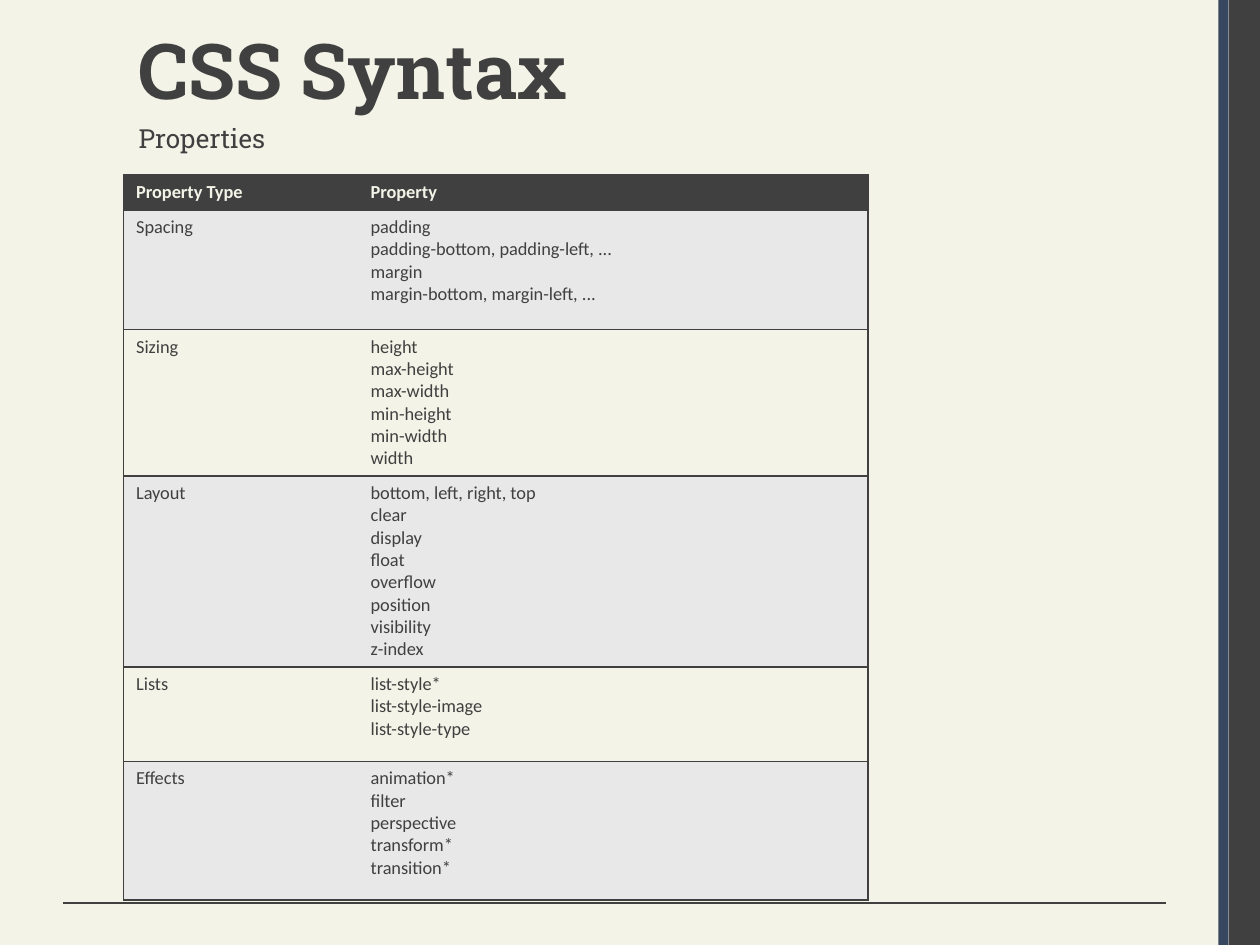
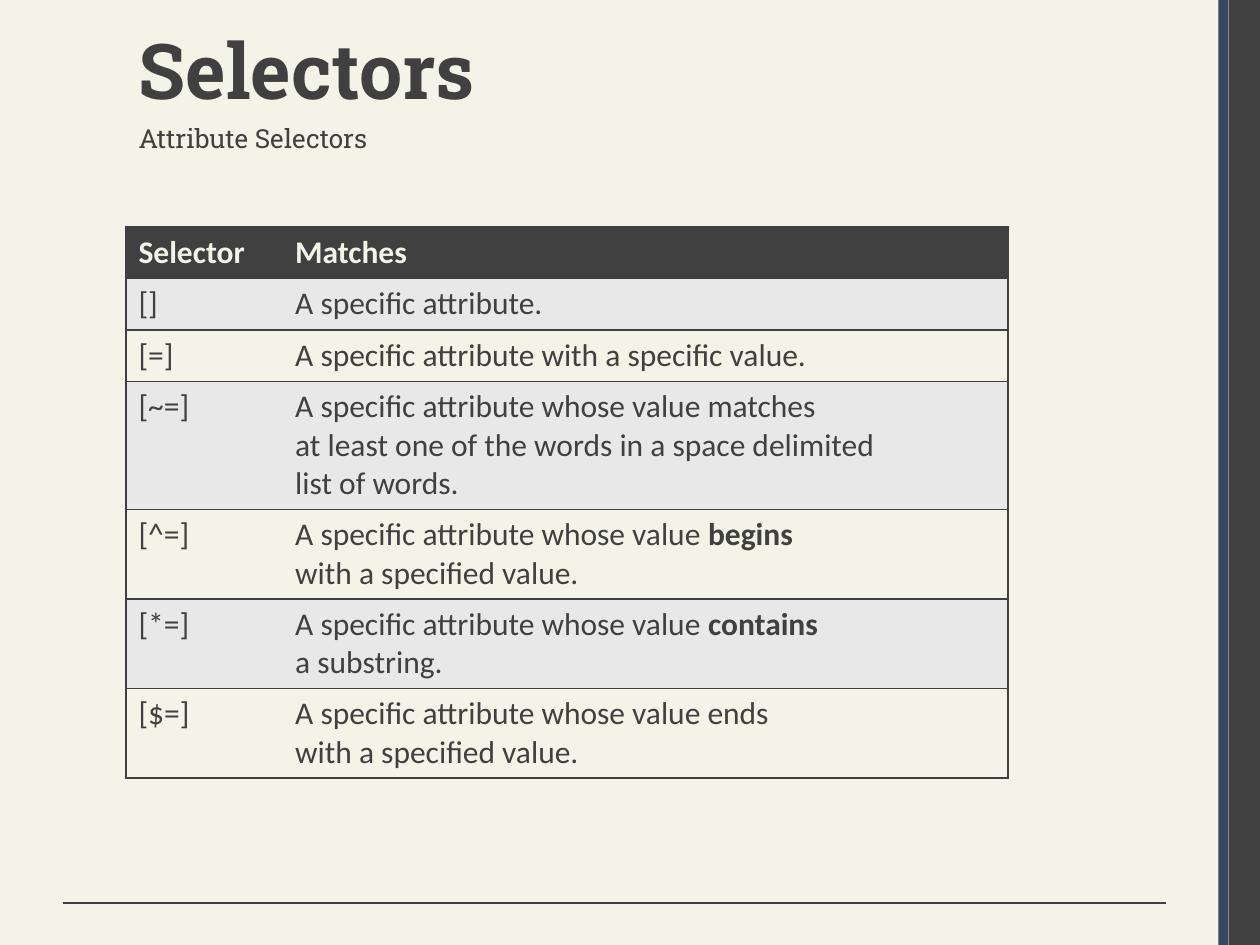
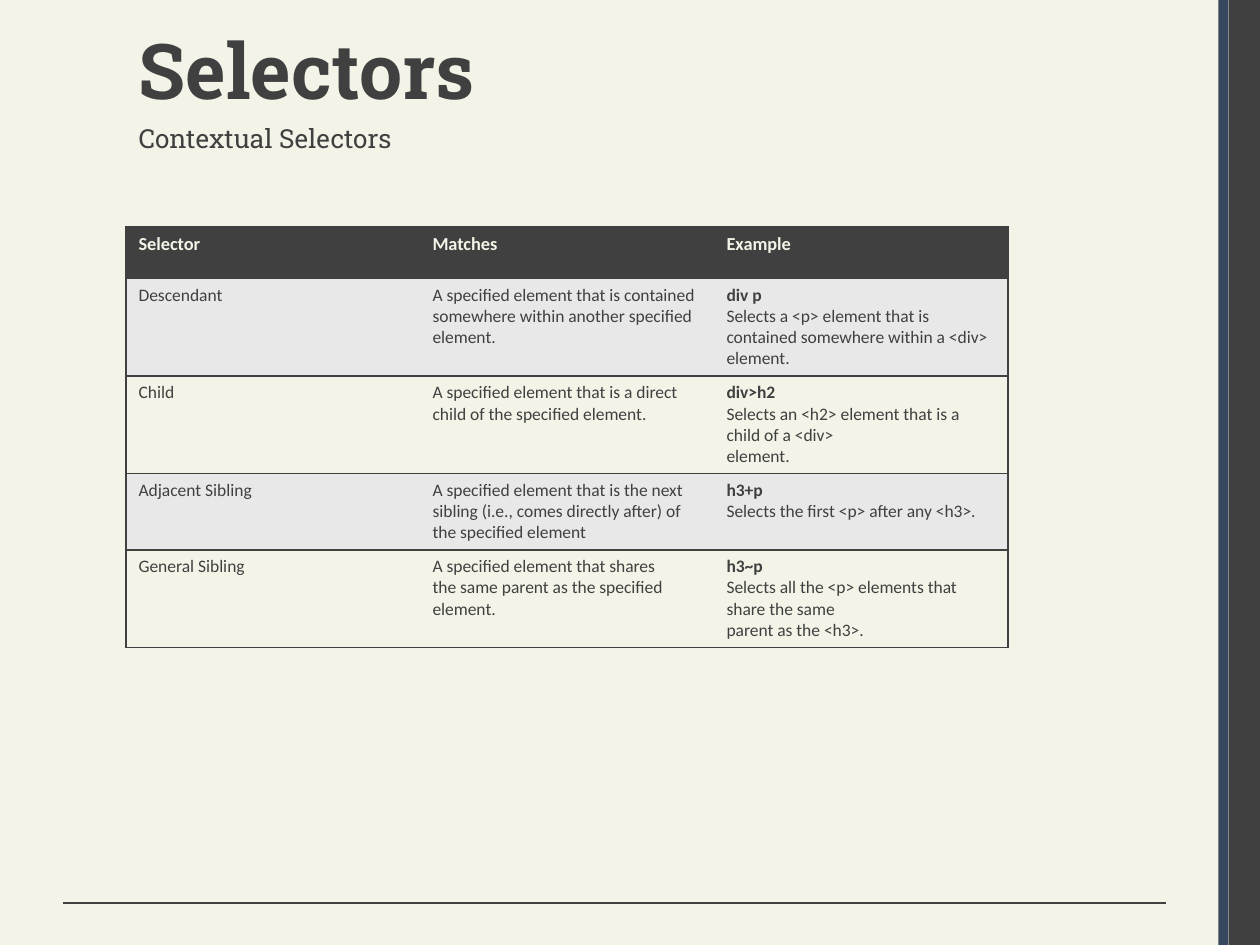
from dataclasses import dataclass

from lxml.etree import SubElement
from pptx import Presentation
from pptx.dml.color import RGBColor
from pptx.enum.shapes import MSO_CONNECTOR, MSO_SHAPE
from pptx.enum.text import MSO_ANCHOR, MSO_AUTO_SIZE, PP_ALIGN
from pptx.oxml.ns import qn
from pptx.util import Pt


@dataclass(frozen=True)
class Theme:
    paper: RGBColor = RGBColor(0xF3, 0xF3, 0xE7)
    ink: RGBColor = RGBColor(0x40, 0x40, 0x40)
    navy: RGBColor = RGBColor(0x37, 0x47, 0x5F)
    stripe: RGBColor = RGBColor(0xE8, 0xE8, 0xE8)
    heading_font: str = "Roboto Slab"
    table_font: str = "Calibri"
    title_size: float = 44
    subtitle_size: float = 15
    large_size: float = 18
    compact_size: float = 10.5
    small_size: float = 10
    rule_width: float = 0.75
    border_width: float = 1


THEME = Theme()
SLIDE_WIDTH, SLIDE_HEIGHT = 720, 540
SELECTOR_TABLE = {"left": 72, "top": 129.6}
SELECTOR_ROW = 29.5

PROPERTIES = [
    ("Property Type", "Property"),
    ("Spacing", "padding\npadding-bottom, padding-left, ...\n"
                "margin\nmargin-bottom, margin-left, ..."),
    ("Sizing", "height\nmax-height\nmax-width\nmin-height\nmin-width\nwidth"),
    ("Layout", "bottom, left, right, top\nclear\ndisplay\nfloat\n"
               "overflow\nposition\nvisibility\nz-index"),
    ("Lists", "list-style*\nlist-style-image\nlist-style-type"),
    ("Effects", "animation*\nfilter\nperspective\ntransform*\ntransition*"),
]

ATTRIBUTE_SELECTORS = [
    ("Selector", "Matches"),
    ("[]", "A specific attribute."),
    ("[=]", "A specific attribute with a specific value."),
    ("[~=]", "A specific attribute whose value matches\n"
             "at least one of the words in a space delimited\nlist of words."),
    ("[^=]", "A specific attribute whose value **begins**\nwith a specified value."),
    ("[*=]", "A specific attribute whose value **contains**\na substring."),
    ("[$=]", "A specific attribute whose value ends\nwith a specified value."),
]

CONTEXTUAL_SELECTORS = [
    ("Selector", "Matches", "Example"),
    ("Descendant",
     "A specified element that is contained somewhere within another specified element.",
     "**div p**\nSelects a <p> element that is contained somewhere within a <div> element."),
    ("Child",
     "A specified element that is a direct child of the specified element.",
     "**div>h2**\nSelects an <h2> element that is a child of a <div>\nelement."),
    ("Adjacent Sibling",
     "A specified element that is the next sibling (i.e., comes directly after) "
     "of the specified element",
     "**h3+p**\nSelects the first <p> after any <h3>."),
    ("General Sibling",
     "A specified element that shares\nthe same parent as the specified\nelement.",
     "**h3~p**\nSelects all the <p> elements that share the same\nparent as the <h3>."),
]


def apply_format(target, values):
    for attribute, value in values.items():
        setattr(target, attribute, value)


def format_font(font, color, **values):
    apply_format(font, values)
    font.color.rgb = color


def add_band(slide, left, width, color):
    band = slide.shapes.add_shape(
        MSO_SHAPE.RECTANGLE, Pt(left), Pt(0), Pt(width), Pt(SLIDE_HEIGHT))
    band.shadow.inherit = False
    band.fill.solid()
    band.fill.fore_color.rgb = color
    band.line.fill.background()
    return band


def add_footer_rule(slide):
    rule = slide.shapes.add_connector(
        MSO_CONNECTOR.STRAIGHT, Pt(666), Pt(516), Pt(36), Pt(516))
    rule.line.color.rgb = THEME.ink
    rule.line.width = Pt(THEME.rule_width)
    SubElement(rule.element.spPr, qn("a:effectLst"))
    return rule


def decorate_master(master, slide):
    master.background.fill.solid()
    master.background.fill.fore_color.rgb = THEME.paper
    decorations = [
        add_band(slide, 702, 18, THEME.ink),
        add_band(slide, 696.2, 5.7, THEME.navy),
        add_footer_rule(slide),
    ]
    for number, decoration in enumerate(decorations, start=101):
        decoration.element.xpath(".//p:cNvPr")[0].set("id", str(number))
        master.shapes.element.append(decoration.element)


def fill_heading(placeholder, text, bounds, size, bold):
    left, top, width, height = map(Pt, bounds)
    apply_format(placeholder, {"left": left, "top": top, "width": width, "height": height})
    frame = placeholder.text_frame
    frame.text = text
    apply_format(frame, {
        "auto_size": MSO_AUTO_SIZE.NONE, "vertical_anchor": MSO_ANCHOR.TOP, "word_wrap": True})
    paragraph = frame.paragraphs[0]
    apply_format(paragraph, {"alignment": PP_ALIGN.LEFT, "space_before": Pt(0)})
    format_font(paragraph.runs[0].font, THEME.ink,
                name=THEME.heading_font, size=Pt(size), bold=bold)
    return paragraph


def add_headed_slide(deck, title, subtitle):
    slide = deck.slides.add_slide(deck.slide_layouts[1])
    fill_heading(slide.shapes.title, title, (72, 9.4, 612, 80.6), THEME.title_size, True)
    subheading = fill_heading(
        slide.placeholders[1], subtitle, (72, 66.2, 504, 23.8), THEME.subtitle_size, False)
    properties = subheading._p.get_or_add_pPr()
    properties.set("marL", str(Pt(27)))
    properties.set("indent", str(Pt(-27)))
    SubElement(properties, qn("a:buNone"))
    return slide


def set_borders(cell, visible_sides):
    properties = cell._tc.get_or_add_tcPr()
    for side in "LRTB":
        edge = SubElement(properties, qn(f"a:ln{side}"), w=str(Pt(THEME.border_width)))
        if side in visible_sides:
            color = SubElement(edge, qn("a:solidFill"))
            SubElement(color, qn("a:srgbClr"), val=str(THEME.ink))
        else:
            SubElement(edge, qn("a:noFill"))


def write_cell(cell, text, size, color, bold):
    for index, line in enumerate(text.split("\n")):
        frame = cell.text_frame
        paragraph = frame.add_paragraph() if index else frame.paragraphs[0]
        for position, part in enumerate(line.split("**")):
            if part:
                run = paragraph.add_run()
                run.text = part
                format_font(run.font, color, name=THEME.table_font, size=Pt(size),
                            bold=bold or position % 2 == 1)


def add_grid(slide, rows, left, top, widths, heights, header_size, body_size):
    grid = slide.shapes.add_table(
        len(rows), len(widths), Pt(left), Pt(top), Pt(sum(widths)), Pt(sum(heights))).table
    apply_format(grid, {"first_row": False, "horz_banding": False})
    for column, width in zip(grid.columns, widths):
        column.width = Pt(width)
    for row_index, (entries, height) in enumerate(zip(rows, heights)):
        grid.rows[row_index].height = Pt(height)
        header = row_index == 0
        background = THEME.ink if header else (THEME.paper, THEME.stripe)[row_index % 2]
        for column_index, entry in enumerate(entries):
            cell = grid.cell(row_index, column_index)
            sides = "TB"
            if column_index == 0:
                sides += "L"
            if column_index == len(widths) - 1:
                sides += "R"
            set_borders(cell, sides)
            cell.fill.solid()
            cell.fill.fore_color.rgb = background
            write_cell(cell, entry, header_size if header else body_size,
                       THEME.paper if header else THEME.ink, header)


def main():
    deck = Presentation()
    apply_format(deck, {"slide_width": Pt(SLIDE_WIDTH), "slide_height": Pt(SLIDE_HEIGHT)})

    properties = add_headed_slide(deck, "CSS Syntax", "Properties")
    decorate_master(deck.slide_master, properties)
    add_grid(properties, PROPERTIES, left=70.6, top=100, widths=[134, 291.5],
             heights=[18.7, 68.4, 81.4, 106.6, 54, 79.2],
             header_size=THEME.compact_size, body_size=THEME.compact_size)

    attributes = add_headed_slide(deck, "Selectors", "Attribute Selectors")
    add_grid(attributes, ATTRIBUTE_SELECTORS, **SELECTOR_TABLE, widths=[89.5, 414.5],
             heights=[SELECTOR_ROW] * len(ATTRIBUTE_SELECTORS),
             header_size=THEME.large_size, body_size=THEME.large_size)

    contexts = add_headed_slide(deck, "Selectors", "Contextual Selectors")
    add_grid(contexts, CONTEXTUAL_SELECTORS, **SELECTOR_TABLE, widths=[168] * 3,
             heights=[SELECTOR_ROW] * len(CONTEXTUAL_SELECTORS),
             header_size=THEME.compact_size, body_size=THEME.small_size)

    deck.save("out.pptx")


if __name__ == "__main__":
    main()
